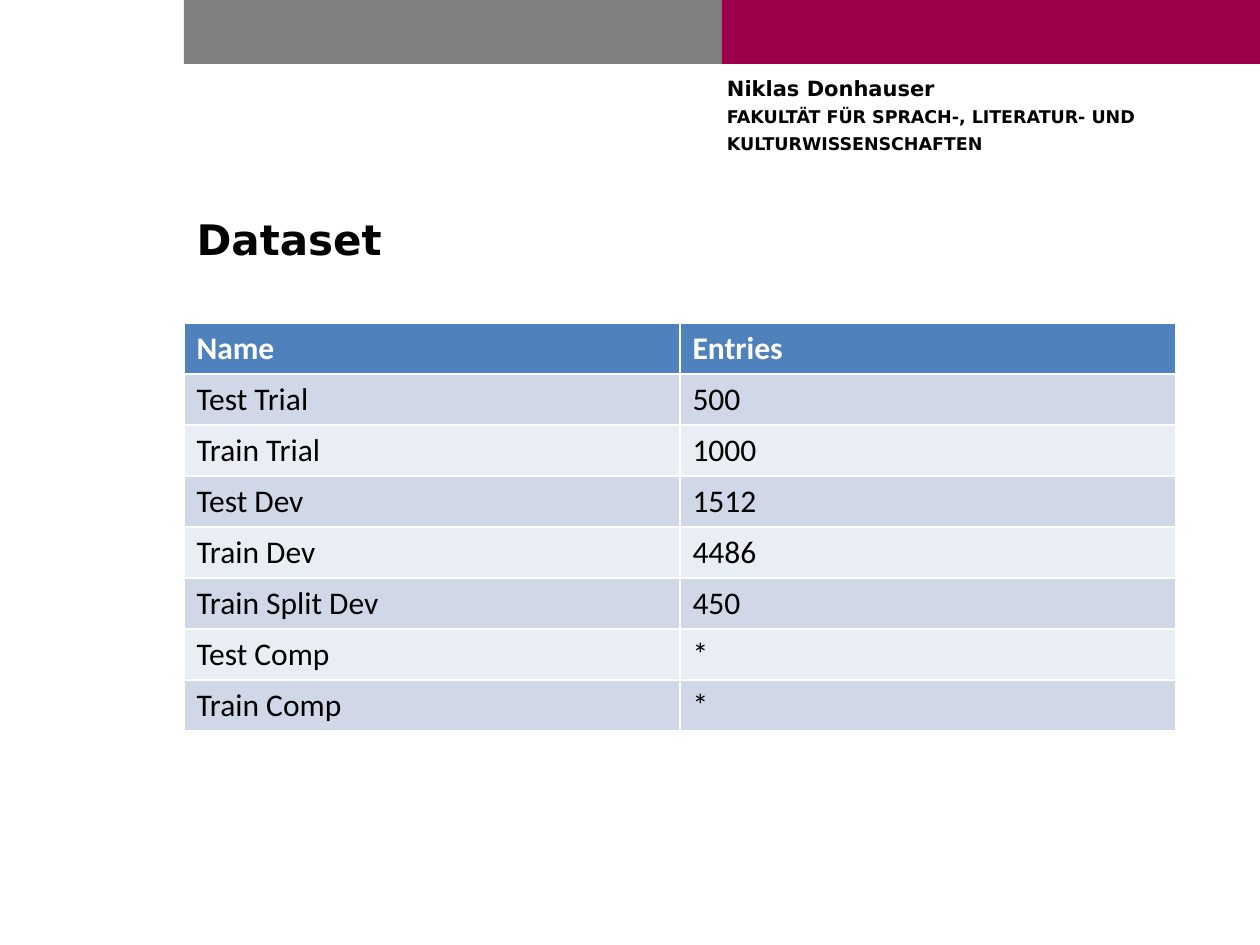
from pptx import Presentation
from pptx.dml.color import RGBColor
from pptx.enum.shapes import MSO_SHAPE
from pptx.enum.text import MSO_ANCHOR, PP_ALIGN
from pptx.util import Emu, Pt

PX = 914400 // 126
LEFT = 184
BAR_WIDTH = 538
HEADING_FONT = "DejaVu Sans"
BODY_FONT = "Calibri"
AFFILIATION = [
    ("Niklas Donhauser", 12),
    ("FAKULTÄT FÜR SPRACH-, LITERATUR- UND", 10),
    ("KULTURWISSENSCHAFTEN", 10),
]
DATASETS = [
    ("Name", "Entries"),
    ("Test Trial", "500"),
    ("Train Trial", "1000"),
    ("Test Dev", "1512"),
    ("Train Dev", "4486"),
    ("Train Split Dev", "450"),
    ("Test Comp", "*"),
    ("Train Comp", "*"),
]


def box(*lengths):
    """Turn px lengths into EMU."""
    return [Emu(length * PX) for length in lengths]


def colour(value):
    """Return the colour for a hex string."""
    return RGBColor.from_string(value)


def style(paragraph, font_name, size, ink="000000", bold=True):
    """Set the font of a whole paragraph."""
    font = paragraph.font
    font.name, font.size, font.bold = font_name, Pt(size), bold
    font.color.rgb = colour(ink)


def add_bar(slide, left, fill):
    """Add one half of the band along the top edge."""
    bar = slide.shapes.add_shape(MSO_SHAPE.RECTANGLE, *box(left, 0, BAR_WIDTH, 64))
    bar.shadow.inherit = False
    bar.fill.solid()
    bar.fill.fore_color.rgb = colour(fill)
    bar.line.fill.background()


def add_affiliation(slide):
    """Add the author and faculty below the band."""
    frame = slide.shapes.add_textbox(*box(727, 76, 509, 118)).text_frame
    frame.word_wrap = True
    frame.margin_left = frame.margin_top = frame.margin_right = frame.margin_bottom = 0
    frame.text = "\n".join(text for text, _ in AFFILIATION)
    for paragraph, (_, size) in zip(frame.paragraphs, AFFILIATION):
        paragraph.space_after = Pt(3)
        style(paragraph, HEADING_FONT, size)


def set_title(slide, text):
    """Place and format the title placeholder."""
    title = slide.shapes.title
    title.left, title.top, title.width, title.height = box(LEFT, 207, 990, 96)
    frame = title.text_frame
    frame.text = text
    frame.vertical_anchor = MSO_ANCHOR.TOP
    frame.paragraphs[0].alignment = PP_ALIGN.LEFT
    style(frame.paragraphs[0], HEADING_FONT, 24)


def add_dataset_table(slide):
    """Add the table of datasets with a header and banded rows."""
    rows, columns = len(DATASETS), len(DATASETS[0])
    table = slide.shapes.add_table(rows, columns, *box(LEFT, 323, 992, 51 * rows)).table
    for row, values in enumerate(DATASETS):
        header = row == 0
        band = "4F81BD" if header else ("E9EDF4", "D0D8E8")[row % 2]
        for column, value in enumerate(values):
            cell = table.cell(row, column)
            cell.text = value
            cell.fill.solid()
            cell.fill.fore_color.rgb = colour(band)
            ink = "FFFFFF" if header else "000000"
            style(cell.text_frame.paragraphs[0], BODY_FONT, 18, ink, header)


def main():
    """Build and save the slide."""
    presentation = Presentation()
    presentation.slide_width, presentation.slide_height = box(1260, 945)
    slide = presentation.slides.add_slide(presentation.slide_layouts[5])
    for index, fill in enumerate(("808080", "9C004B")):
        add_bar(slide, LEFT + index * BAR_WIDTH, fill)
    add_affiliation(slide)
    set_title(slide, "Dataset")
    add_dataset_table(slide)
    presentation.save("out.pptx")


if __name__ == "__main__":
    main()
